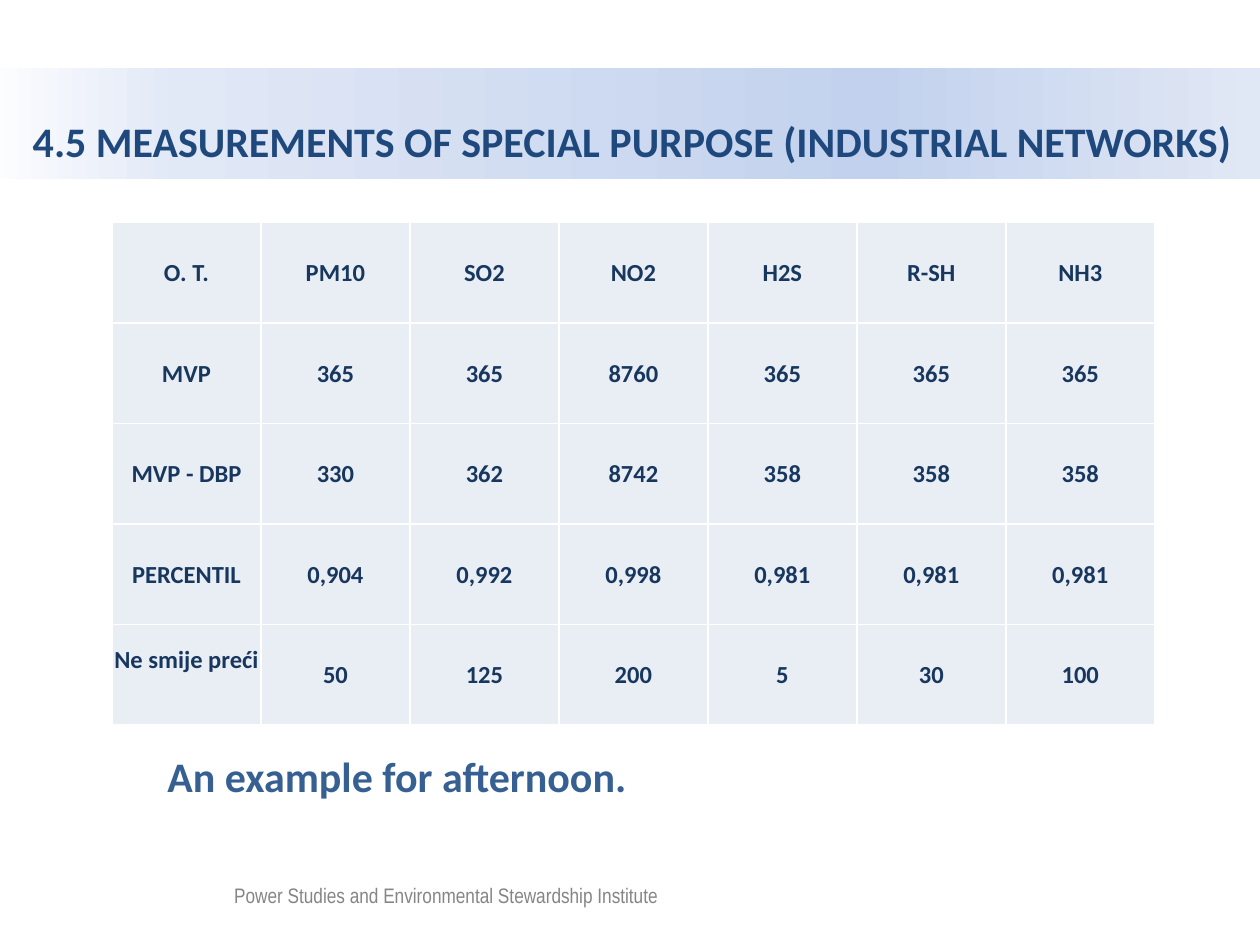
"""Build the slide on special purpose measurements in industrial networks."""

from dataclasses import dataclass

import lxml.etree
import pptx
import pptx.dml.color
import pptx.enum.shapes
import pptx.enum.text
import pptx.oxml.ns
import pptx.util

Pt = pptx.util.Pt
RGBColor = pptx.dml.color.RGBColor
Align = pptx.enum.text.PP_ALIGN
Anchor = pptx.enum.text.MSO_ANCHOR
qn = pptx.oxml.ns.qn

WHITE = RGBColor(0xFF, 0xFF, 0xFF)
BLACK = RGBColor(0x00, 0x00, 0x00)
TITLE_BLUE = RGBColor(0x1F, 0x49, 0x7D)
CELL_BLUE = RGBColor(0x17, 0x37, 0x5E)
CAPTION_BLUE = RGBColor(0x37, 0x60, 0x92)
CELL_FILL = RGBColor(0xE9, 0xED, 0xF4)
BAND_PALE = RGBColor(0xE1, 0xE8, 0xF6)
BAND_DEEP = RGBColor(0xC2, 0xD1, 0xED)
BAND_END = RGBColor(0xE1, 0xE8, 0xF5)
BAND_STOPS = ((0, WHITE), (16, BAND_PALE), (70, BAND_DEEP), (100, BAND_END))

CELL_INSET = 0.72
LABEL_LIFT = 17
MEASUREMENTS = (
    ("O. T.", "PM10", "SO2", "NO2", "H2S", "R-SH", "NH3"),
    ("MVP", "365", "365", "8760", "365", "365", "365"),
    ("MVP - DBP", "330", "362", "8742", "358", "358", "358"),
    ("PERCENTIL", "0,904", "0,992", "0,998", "0,981", "0,981", "0,981"),
    ("Ne smije preći", "50", "125", "200", "5", "30", "100"),
)


@dataclass(frozen=True)
class Box:
    """Hold a position and size in points."""

    left: float
    top: float
    width: float
    height: float

    def lengths(self) -> tuple:
        """Return the four lengths as python-pptx units."""
        return Pt(self.left), Pt(self.top), Pt(self.width), Pt(self.height)


def write(frame, text: str, *, size: float, color: RGBColor, font: str = "Calibri",
          bold: bool = True, align=Align.LEFT, spacing: float = 1.0) -> None:
    """Write one formatted paragraph into a text frame."""
    paragraph = frame.paragraphs[0]
    paragraph.alignment = align
    paragraph.line_spacing = spacing
    run = paragraph.add_run()
    run.text = text
    run.font.name = font
    run.font.size = Pt(size)
    run.font.bold = bold
    run.font.color.rgb = color


def add_rectangle(slide, box: Box):
    """Add a rectangle without line or shadow."""
    rectangle = slide.shapes.add_shape(
        pptx.enum.shapes.MSO_SHAPE.RECTANGLE, *box.lengths())
    rectangle.shadow.inherit = False
    rectangle.line.fill.background()
    return rectangle


def add_title_band(slide, box: Box, text: str) -> None:
    """Add the gradient band that carries the title."""
    band = add_rectangle(slide, box)
    band.fill.gradient()
    band.fill.gradient_angle = 0
    stops = next(band.fill._xPr.iter(qn("a:gsLst")))
    for stop in list(stops):
        stops.remove(stop)
    for percent, color in BAND_STOPS:
        stop = lxml.etree.SubElement(stops, qn("a:gs"), pos=str(percent * 1000))
        lxml.etree.SubElement(stop, qn("a:srgbClr"), val=str(color))
    frame = band.text_frame
    frame.word_wrap = True
    frame.vertical_anchor = Anchor.MIDDLE
    frame.margin_left = Pt(32.4)
    frame.margin_top = Pt(9)
    write(frame, text, size=24, color=TITLE_BLUE, spacing=1.5)


def add_label(slide, box: Box, text: str, *, wrap: bool = True, **style) -> None:
    """Add a text box with one line of text."""
    frame = slide.shapes.add_textbox(*box.lengths()).text_frame
    frame.word_wrap = wrap
    write(frame, text, **style)


def add_veil(slide, box: Box, opacity: int) -> None:
    """Add a translucent white rectangle."""
    veil = add_rectangle(slide, box)
    veil.fill.solid()
    veil.fill.fore_color.rgb = WHITE
    color = next(veil.fill._xPr.iter(qn("a:srgbClr")))
    lxml.etree.SubElement(color, qn("a:alpha"), val=str(opacity * 1000))


def border_cell(cell, color: RGBColor, width: float) -> None:
    """Draw all four borders of a table cell."""
    properties = cell._tc.get_or_add_tcPr()
    for side in ("a:lnL", "a:lnR", "a:lnT", "a:lnB"):
        line = lxml.etree.SubElement(properties, qn(side), w=str(Pt(width)))
        fill = lxml.etree.SubElement(line, qn("a:solidFill"))
        lxml.etree.SubElement(fill, qn("a:srgbClr"), val=str(color))


def add_measurements(slide, box: Box, rows: tuple) -> None:
    """Add the measurement table with equal rows and columns."""
    table = slide.shapes.add_table(len(rows), len(rows[0]), *box.lengths()).table
    table.first_row = False
    table.horz_banding = False
    for column in table.columns:
        column.width = Pt(box.width / len(rows[0]))
    for row_index, values in enumerate(rows):
        table.rows[row_index].height = Pt(box.height / len(rows))
        for column_index, value in enumerate(values):
            cell = table.cell(row_index, column_index)
            border_cell(cell, WHITE, 1)
            cell.fill.solid()
            cell.fill.fore_color.rgb = CELL_FILL
            cell.vertical_anchor = Anchor.MIDDLE
            cell.margin_left = cell.margin_right = cell.margin_top = Pt(CELL_INSET)
            cell.margin_bottom = Pt(0)
            write(cell.text_frame, value, size=14, color=CELL_BLUE, align=Align.CENTER)
    table.cell(len(rows) - 1, 0).margin_bottom = Pt(LABEL_LIFT)


def main() -> None:
    """Build and save the slide."""
    presentation = pptx.Presentation()
    presentation.slide_width = Pt(720)
    presentation.slide_height = Pt(540)
    slide = presentation.slides.add_slide(presentation.slide_layouts[6])
    add_title_band(slide, Box(-13.7, 38.7, 733.7, 63.4),
                   "4.5 MEASUREMENTS OF SPECIAL PURPOSE (INDUSTRIAL NETWORKS)")
    add_label(slide, Box(126.7, 501, 262, 21.6),
              "Power Studies and Environmental Stewardship Institute", wrap=False,
              size=12, color=BLACK, font="Arial Narrow", bold=False)
    add_veil(slide, Box(29.5, 499, 365, 34.6), 52)
    add_measurements(slide, Box(64, 127, 596, 287.3), MEASUREMENTS)
    add_label(slide, Box(88.6, 425.5, 546.5, 36), "An example for afternoon.",
              size=24, color=CAPTION_BLUE)
    presentation.save("out.pptx")


if __name__ == "__main__":
    main()
